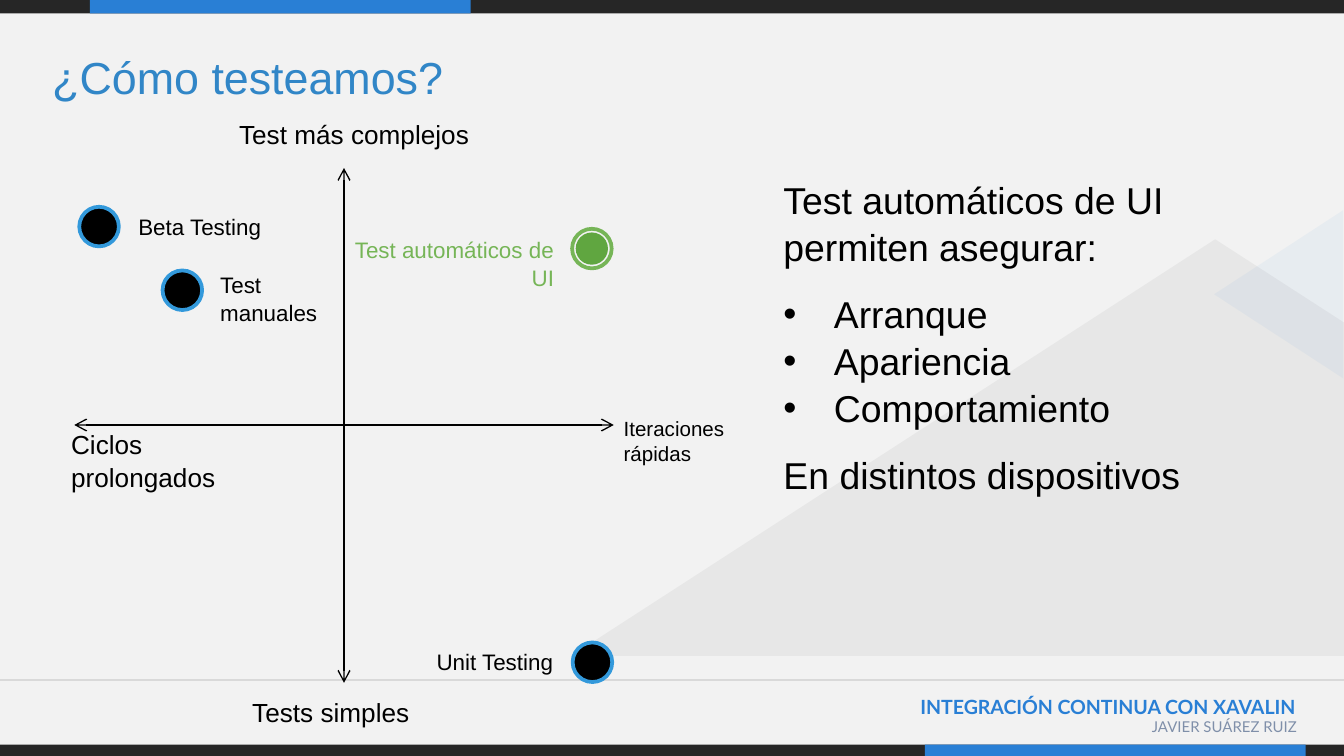
from lxml import etree
from pptx import Presentation
from pptx.dml.color import RGBColor
from pptx.enum.shapes import MSO_CONNECTOR, MSO_SHAPE
from pptx.enum.text import MSO_ANCHOR, PP_ALIGN
from pptx.oxml.ns import qn
from pptx.util import Pt

RECT, OVAL, PEAK = MSO_SHAPE.RECTANGLE, MSO_SHAPE.OVAL, MSO_SHAPE.ISOSCELES_TRIANGLE
LINE = MSO_CONNECTOR.STRAIGHT
TOP, MID, LOW = MSO_ANCHOR.TOP, MSO_ANCHOR.MIDDLE, MSO_ANCHOR.BOTTOM
LEFT, RIGHT = PP_ALIGN.LEFT, PP_ALIGN.RIGHT

BLACK = RGBColor(0, 0, 0)
DARK = RGBColor(0x26, 0x26, 0x26)
PALE = RGBColor(0xF2, 0xF2, 0xF2)
GRAY = RGBColor(0xD9, 0xD9, 0xD9)
SLATE = RGBColor(0x7F, 0x8F, 0xA9)
BLUE = RGBColor(0x29, 0x7F, 0xD5)
SKY = RGBColor(0x33, 0x99, 0xDB)
TITLE = RGBColor(0x31, 0x86, 0xC7)
GREEN = RGBColor(0x60, 0xA6, 0x40)
LIME = RGBColor(0x76, 0xB5, 0x57)

WIDE, HIGH = 720, 405

# Bars: left, top, width, height, colour
BARS = [
    (0, 0, WIDE, 7.2, DARK), (48.2, 0, 204, 7.2, BLUE),
    (0, 399, WIDE, 6, DARK), (495.4, 399, 204, 6, BLUE),
]
HILL = [(720, 351.4), (720, 172.8), (651, 128.2), (306, 351.4)]

# Axes: start x, y, end x, y
AXES = [(39.8, 227.7, 328.8, 227.7), (184.3, 90, 184.3, 365.8)]

# Labels: text, left, top, width, height, size, colour, anchor, align
LABELS = [
    ("¿Cómo testeamos?", 20.9, 12.2, 555, 46.8, 24, TITLE, LOW, LEFT),
    ("Ciclos prolongados", 31, 236.2, 114.5, 20.2, 14, BLACK, MID, LEFT),
    ("Iteraciones rápidas", 327, 216, 73.4, 39.6, 11, BLACK, MID, LEFT),
    ("Test más complejos", 121, 59.8, 161.3, 23, 14, BLACK, MID, LEFT),
    ("Tests simples", 128, 370.8, 114.5, 20.2, 14, BLACK, MID, LEFT),
    ("Beta Testing", 67, 110.9, 114.5, 20.2, 12, BLACK, MID, LEFT),
    ("Test manuales", 110.9, 139.7, 87.8, 39.6, 12, BLACK, MID, LEFT),
    ("Test automáticos de UI", 179.3, 122.4, 124.6, 45.4, 12, LIME, TOP, RIGHT),
    ("Unit Testing", 226.8, 344.2, 79.2, 20.2, 12, BLACK, MID, LEFT),
]
FOOT = [
    ("INTEGRACIÓN CONTINUA CON XAVALIN", 432, 368.6, 269.3, 28.8, 10.5, BLUE, True),
    ("JAVIER SUÁREZ RUIZ", 571.7, 380.9, 130.3, 22.3, 8, SLATE, False),
]

# Dots: centre x, y, core fill, core line, ring line
DOTS = [
    (53.1, 121.4, BLACK, SKY, SKY), (97.7, 155.5, BLACK, SKY, SKY),
    (317.4, 354.8, BLACK, SKY, SKY), (317.1, 133.2, GREEN, None, LIME),
]

# Body: text, bullet, space before
BODY = [
    ("Test automáticos de UI permiten asegurar:", False, 0),
    ("Arranque", True, 10.8),
    ("Apariencia", True, 0),
    ("Comportamiento", True, 0),
    ("En distintos dispositivos", False, 10.8),
]

deck = Presentation()
deck.slide_width, deck.slide_height = Pt(WIDE), Pt(HIGH)
slide = deck.slides.add_slide(deck.slide_layouts[6])
slide.background.fill.solid()
slide.background.fill.fore_color.rgb = PALE
shapes = slide.shapes


def paint(shape, fill=None, line=None, alpha=None):
    shape.shadow.inherit = False
    if fill is None:
        shape.fill.background()
    else:
        shape.fill.solid()
        shape.fill.fore_color.rgb = fill
    if alpha:
        tone = shape.fill._xPr.find(qn("a:solidFill"))[0]
        etree.SubElement(tone, qn("a:alpha")).set("val", str(alpha * 1000))
    if line is None:
        shape.line.fill.background()
    else:
        shape.line.color.rgb = line
        shape.line.width = Pt(2)


def add(kind, *box):
    return shapes.add_shape(kind, *map(Pt, box))


def rule(ends, color, heads=False):
    link = shapes.add_connector(LINE, *map(Pt, ends))
    link.line.color.rgb = color
    link.line.width = Pt(0.75)
    if heads:
        for tag in ("a:headEnd", "a:tailEnd"):
            etree.SubElement(link.line._ln, qn(tag)).set("type", "arrow")
    etree.SubElement(link._element.spPr, qn("a:effectLst"))


def frame(box, anchor=TOP):
    area = shapes.add_textbox(*map(Pt, box)).text_frame
    area.word_wrap = True
    area.vertical_anchor = anchor
    return area


def style(para, size, color, name="Arial", bold=False):
    para.font.size = Pt(size)
    para.font.name = name
    para.font.bold = bold
    para.font.color.rgb = color
    for run in para.runs:
        run.font.size = Pt(size)
        run.font.name = name
        run.font.bold = bold
        run.font.color.rgb = color


# Backdrop and footer
for *box, color in BARS:
    paint(add(RECT, *box), color)
for text, *box, size, color, bold in FOOT:
    para = frame(box).paragraphs[0]
    para.text = text
    para.alignment = RIGHT
    style(para, size, color, "Lato", bold)
rule((0, 364.3, WIDE, 364.3), GRAY)
pen = shapes.build_freeform(*map(Pt, HILL[0]))
pen.add_line_segments([(Pt(x), Pt(y)) for x, y in HILL[1:]])
paint(pen.convert_to_shape(), DARK, alpha=5)
peak = add(PEAK, 640, 123.1, 90, 69.1)
peak.rotation = 270
paint(peak, BLUE, alpha=5)

# Chart of test kinds
for ends in AXES:
    rule(ends, BLACK, True)
for x, y, fill, core, ring in DOTS:
    for size, tint, edge in ((17.3, fill, core), (21.2, None if core is None else fill, ring)):
        paint(add(OVAL, x - size / 2, y - size / 2, size, size), tint, edge)
for text, *box, size, color, anchor, align in LABELS:
    para = frame(box, anchor).paragraphs[0]
    para.text = text
    para.alignment = align
    para.line_spacing = 1.05
    style(para, size, color)

# Body text
area = frame((412.6, 90, 286.6, 190.8))
for i, (text, dot, gap) in enumerate(BODY):
    para = area.add_paragraph() if i else area.paragraphs[0]
    para.text = text
    para.line_spacing = 1.05
    if gap:
        para.space_before = Pt(gap)
    if dot:
        props = para._p.get_or_add_pPr()
        props.set("marL", str(Pt(27)))
        props.set("indent", str(-Pt(27)))
        etree.SubElement(props, qn("a:buFont")).set("typeface", "Arial")
        etree.SubElement(props, qn("a:buChar")).set("char", "•")
    style(para, 20, BLACK)

deck.save("out.pptx")
